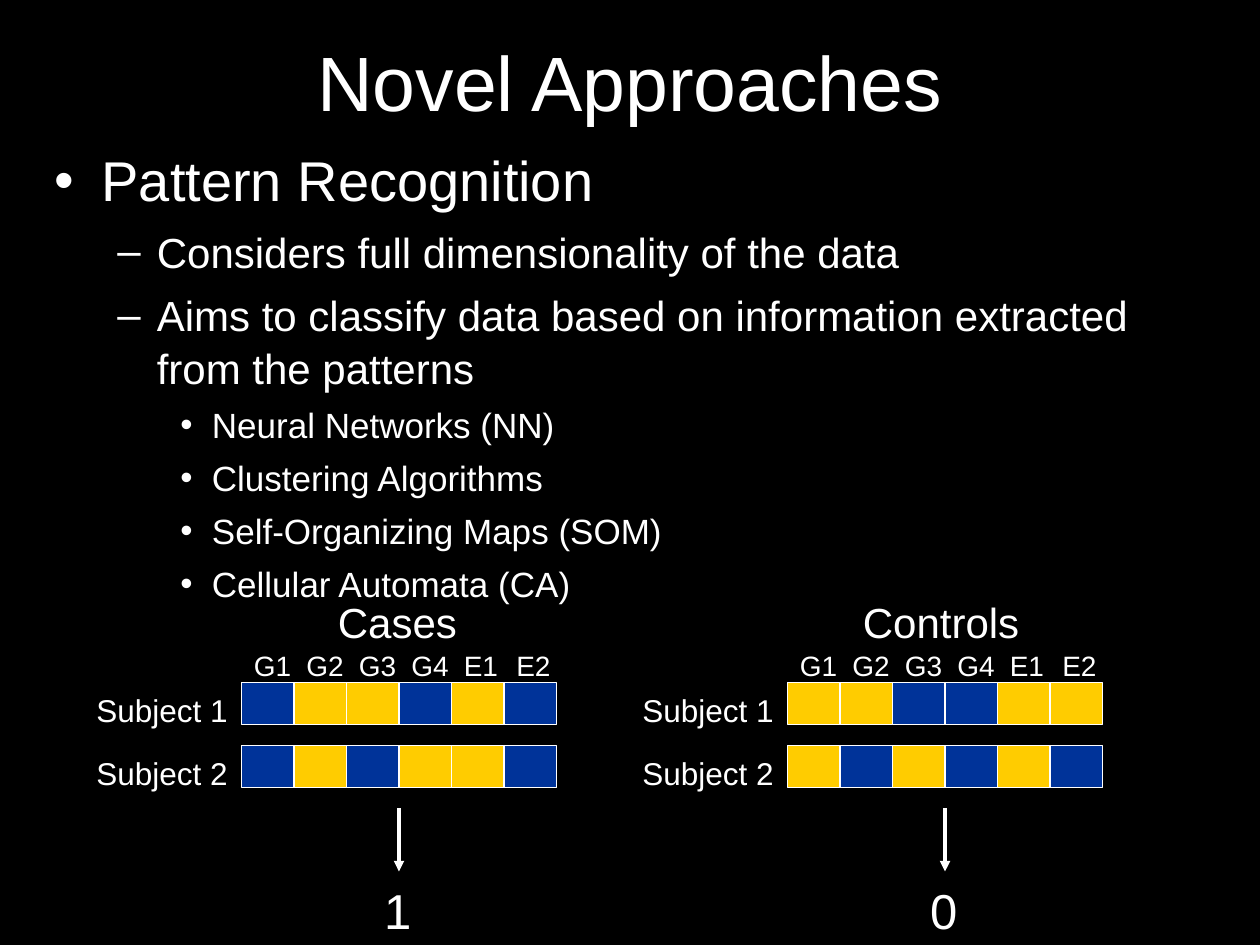
from dataclasses import dataclass

from lxml import etree
from pptx import Presentation
from pptx.dml.color import RGBColor
from pptx.enum.shapes import MSO_CONNECTOR, MSO_SHAPE
from pptx.enum.text import MSO_ANCHOR, PP_ALIGN
from pptx.oxml.ns import qn
from pptx.util import Pt

RECTANGLE = MSO_SHAPE.RECTANGLE
STRAIGHT = MSO_CONNECTOR.STRAIGHT
LEFT, CENTER = PP_ALIGN.LEFT, PP_ALIGN.CENTER
TOP, MIDDLE = MSO_ANCHOR.TOP, MSO_ANCHOR.MIDDLE
EMU_PER_PX = 9525


@dataclass(frozen=True)
class Theme:
    font: str = "Arial"
    background: RGBColor = RGBColor(0x00, 0x00, 0x00)
    ink: RGBColor = RGBColor(0xFF, 0xFF, 0xFF)
    blue: RGBColor = RGBColor(0x00, 0x33, 0x99)
    yellow: RGBColor = RGBColor(0xFF, 0xCC, 0x00)
    line_spacing: float = 1.05
    title: int = 44
    result: int = 28
    heading: int = 24
    subject: int = 18
    factor: int = 16


THEME = Theme()

# Per outline level: bullet, left margin px, hanging px, type size, space before
LEVELS = (
    ("•", 36, 36, 32, 0),
    ("–", 78, 30, 24, 6),
    ("•", 120, 24, 20, 5),
)
OUTLINE = (
    (0, "Pattern Recognition"),
    (1, "Considers full dimensionality of the data"),
    (1, "Aims to classify data based on information extracted from the patterns"),
    (2, "Neural Networks (NN)"),
    (2, "Clustering Algorithms"),
    (2, "Self-Organizing Maps (SOM)"),
    (2, "Cellular Automata (CA)"),
)

FACTORS = ("G1", "G2", "G3", "G4", "E1", "E2")
CELL_WIDTH, CELL_HEIGHT, ROW_STEP = 40, 32, 48
GRID_TOP = 520
# Group name, name offset, grid left, one pattern per subject, result
GROUPS = (
    ("Cases", 64, 184, ("BYYBYB", "BYBYYB"), "1"),
    ("Controls", 48, 600, ("YYBBYY", "YBYBYB"), "0"),
)


def px(*lengths):
    return [length * EMU_PER_PX for length in lengths]


def style_paragraph(para, size, align=LEFT):
    para.alignment = align
    para.line_spacing = THEME.line_spacing
    for span in para.runs:
        span.font.name = THEME.font
        span.font.size = Pt(size)
        span.font.color.rgb = THEME.ink


def add_text_box(page, bounds, anchor=TOP):
    box = page.shapes.add_textbox(*px(*bounds))
    box.text_frame.word_wrap = True
    box.text_frame.vertical_anchor = anchor
    return box


def add_label(page, text, bounds, size, align=LEFT, anchor=TOP):
    box = add_text_box(page, bounds, anchor)
    box.text_frame.text = text
    style_paragraph(box.text_frame.paragraphs[0], size, align)


def add_bullet(para, mark, margin, hanging):
    properties = para._p.get_or_add_pPr()
    margin, hanging = px(margin, hanging)
    properties.set("marL", str(margin))
    properties.set("indent", str(-hanging))
    colour = etree.SubElement(properties, qn("a:buClr"))
    etree.SubElement(colour, qn("a:srgbClr"), val=str(THEME.ink))
    etree.SubElement(properties, qn("a:buFont"), typeface=THEME.font)
    etree.SubElement(properties, qn("a:buChar"), char=mark)


def add_outline(page, bounds):
    frame = add_text_box(page, bounds).text_frame
    frame.text = "\n".join(text for _, text in OUTLINE)
    for para, (level, _) in zip(frame.paragraphs, OUTLINE):
        mark, margin, hanging, size, space = LEVELS[level]
        para.level = level
        add_bullet(para, mark, margin, hanging)
        para.space_before = Pt(space)
        style_paragraph(para, size)


def add_cell(page, left, top, fill):
    cell = page.shapes.add_shape(RECTANGLE, *px(left, top, CELL_WIDTH, CELL_HEIGHT))
    cell.shadow.inherit = False
    cell.fill.solid()
    cell.fill.fore_color.rgb = fill
    cell.line.color.rgb = THEME.ink
    cell.line.width = Pt(0.75)


def add_down_arrow(page, x, top, bottom):
    arrow = page.shapes.add_connector(STRAIGHT, *px(x, top, x, bottom))
    arrow.line.color.rgb = THEME.ink
    arrow.line.width = Pt(2)
    etree.SubElement(arrow.line._get_or_add_ln(), qn("a:tailEnd"), type="triangle")
    etree.SubElement(arrow._element.spPr, qn("a:effectLst"))


def add_group(page, name, name_offset, left, patterns, result):
    """Add a labelled grid of subjects by factors, with an arrow to its class."""
    fills = {"B": THEME.blue, "Y": THEME.yellow}
    add_label(page, name, (left + name_offset, 448, 152, 48), THEME.heading)
    for column, factor in enumerate(FACTORS):
        bounds = (left + column * CELL_WIDTH, 488, 64, 35)
        add_label(page, factor, bounds, THEME.factor)
    for row, pattern in enumerate(patterns):
        top = GRID_TOP + row * ROW_STEP
        add_label(page, f"Subject {row + 1}", (left - 120, top, 128, 38), THEME.subject)
        for column, code in enumerate(pattern):
            add_cell(page, left + column * CELL_WIDTH, top, fills[code])
    middle = left + len(FACTORS) * CELL_WIDTH // 2
    add_down_arrow(page, middle, 616, 664)
    add_label(page, result, (middle - 45, 664, 88, 55), THEME.result, CENTER)


def main():
    deck = Presentation()
    deck.slide_width, deck.slide_height = px(960, 720)
    page = deck.slides.add_slide(deck.slide_layouts[6])
    page.background.fill.solid()
    page.background.fill.fore_color.rgb = THEME.background
    add_label(page, "Novel Approaches", (48, 0, 864, 120), THEME.title, CENTER, MIDDLE)
    add_outline(page, (32, 104, 896, 344))
    for group in GROUPS:
        add_group(page, *group)
    deck.save("out.pptx")


if __name__ == "__main__":
    main()
